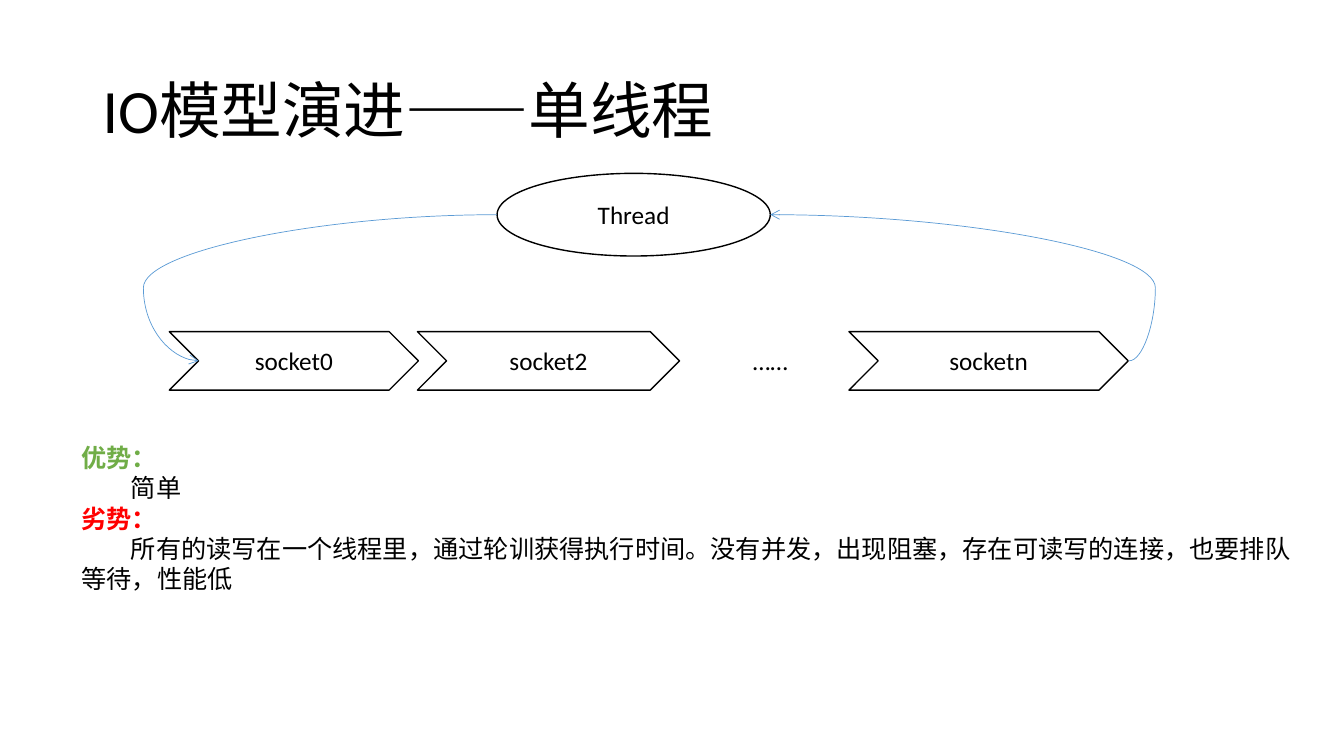
import pptx
import pptx.util
import pptx.dml.color
import pptx.enum.shapes
import pptx.enum.text
import pptx.oxml
import pptx.oxml.ns
from lxml import etree

Inches = pptx.util.Inches
Pt = pptx.util.Pt
SHAPE = pptx.enum.shapes.MSO_SHAPE
ALIGN = pptx.enum.text.PP_ALIGN
ANCHOR = pptx.enum.text.MSO_ANCHOR
FONT = "Calibri"
COLORS = {
    "ink": "000000",
    "paper": "FFFFFF",
    "flow": "5B9BD5",
    "advantage": "70AD47",
    "drawback": "FF0000",
}


def color(name):
    return pptx.dml.color.RGBColor.from_string(COLORS[name])


def write(paragraph, text, size=18, ink="ink", bold=False, align=ALIGN.LEFT,
          indent=0, spacing=None):
    paragraph.alignment = align
    if spacing:
        paragraph.line_spacing = spacing
    if indent:
        properties = paragraph._p.get_or_add_pPr()
        properties.set("marL", "0")
        properties.set("indent", str(Inches(indent)))
    run = paragraph.add_run()
    run.text = text
    run.font.name = FONT
    run.font.size = Pt(size)
    run.font.bold = bold
    run.font.color.rgb = color(ink)


def add_text_frame(slide, left, top, width, height, anchor=ANCHOR.TOP):
    box = slide.shapes.add_textbox(
        Inches(left), Inches(top), Inches(width), Inches(height))
    frame = box.text_frame
    frame.word_wrap = True
    frame.vertical_anchor = anchor
    return frame


def add_node(slide, kind, label, left, top, width, height, outlined=True):
    node = slide.shapes.add_shape(
        kind, Inches(left), Inches(top), Inches(width), Inches(height))
    node.shadow.inherit = False
    node.fill.solid()
    node.fill.fore_color.rgb = color("paper")
    if outlined:
        node.line.color.rgb = color("ink")
        node.line.width = Pt(1)
    else:
        node.line.fill.background()
    node.text_frame.word_wrap = True
    node.text_frame.vertical_anchor = ANCHOR.MIDDLE
    write(node.text_frame.paragraphs[0], label, align=ALIGN.CENTER)


def add_curved_arrow(slide, start, end, bend):
    arrow = slide.shapes.add_connector(
        pptx.enum.shapes.MSO_CONNECTOR.CURVE,
        *(Inches(value) for value in (*start, *end)))
    arrow.line.color.rgb = color("flow")
    arrow.line.width = Pt(0.5)
    qn = pptx.oxml.ns.qn
    properties = arrow._element.spPr
    guides = properties.find(qn("a:prstGeom")).get_or_add_avLst()
    etree.SubElement(guides, qn("a:gd"), name="adj1",
                     fmla=f"val {round(bend * 100000)}")
    etree.SubElement(arrow.line._get_or_add_ln(), qn("a:tailEnd"), type="arrow")
    etree.SubElement(properties, qn("a:effectLst"))


def add_comparison(slide):
    frame = add_text_frame(slide, 0.71, 4.34, 12.22, 1.61)
    frame.auto_size = pptx.enum.text.MSO_AUTO_SIZE.SHAPE_TO_FIT_TEXT
    sections = [
        ("优势：", "advantage", "简单"),
        ("劣势：", "drawback",
         "所有的读写在一个线程里，通过轮训获得执行时间。没有并发，出现阻塞，"
         "存在可读写的连接，也要排队等待，性能低"),
    ]
    heading = frame.paragraphs[0]
    for index, (title, ink, detail) in enumerate(sections):
        if index:
            heading = frame.add_paragraph()
        write(heading, title, ink=ink, bold=True)
        write(frame.add_paragraph(), detail, indent=0.49)


def main():
    deck = pptx.Presentation()
    deck.slide_width = Inches(13.33)
    deck.slide_height = Inches(7.5)
    slide = deck.slides.add_slide(deck.slide_layouts[6])

    title = add_text_frame(slide, 0.92, 0.4, 11.5, 1.45, ANCHOR.MIDDLE)
    write(title.paragraphs[0], "IO模型演进——单线程", size=44, spacing=0.9)

    add_node(slide, SHAPE.OVAL, "Thread", 4.93, 1.72, 2.71, 0.82)
    sockets = [("socket0", 1.68, 2.47), ("socket2", 4.14, 2.6),
               ("socketn", 8.42, 2.77)]
    for label, left, width in sockets:
        add_node(slide, SHAPE.CHEVRON, label, left, 3.29, width, 0.58)
    add_node(slide, SHAPE.RECTANGLE, "……", 7.21, 3.34, 0.86, 0.48,
             outlined=False)

    add_curved_arrow(slide, (4.93, 2.13), (1.97, 3.58), 1.185)
    add_curved_arrow(slide, (11.2, 3.58), (7.64, 2.13), -0.073)
    add_comparison(slide)
    deck.save("out.pptx")


if __name__ == "__main__":
    main()
